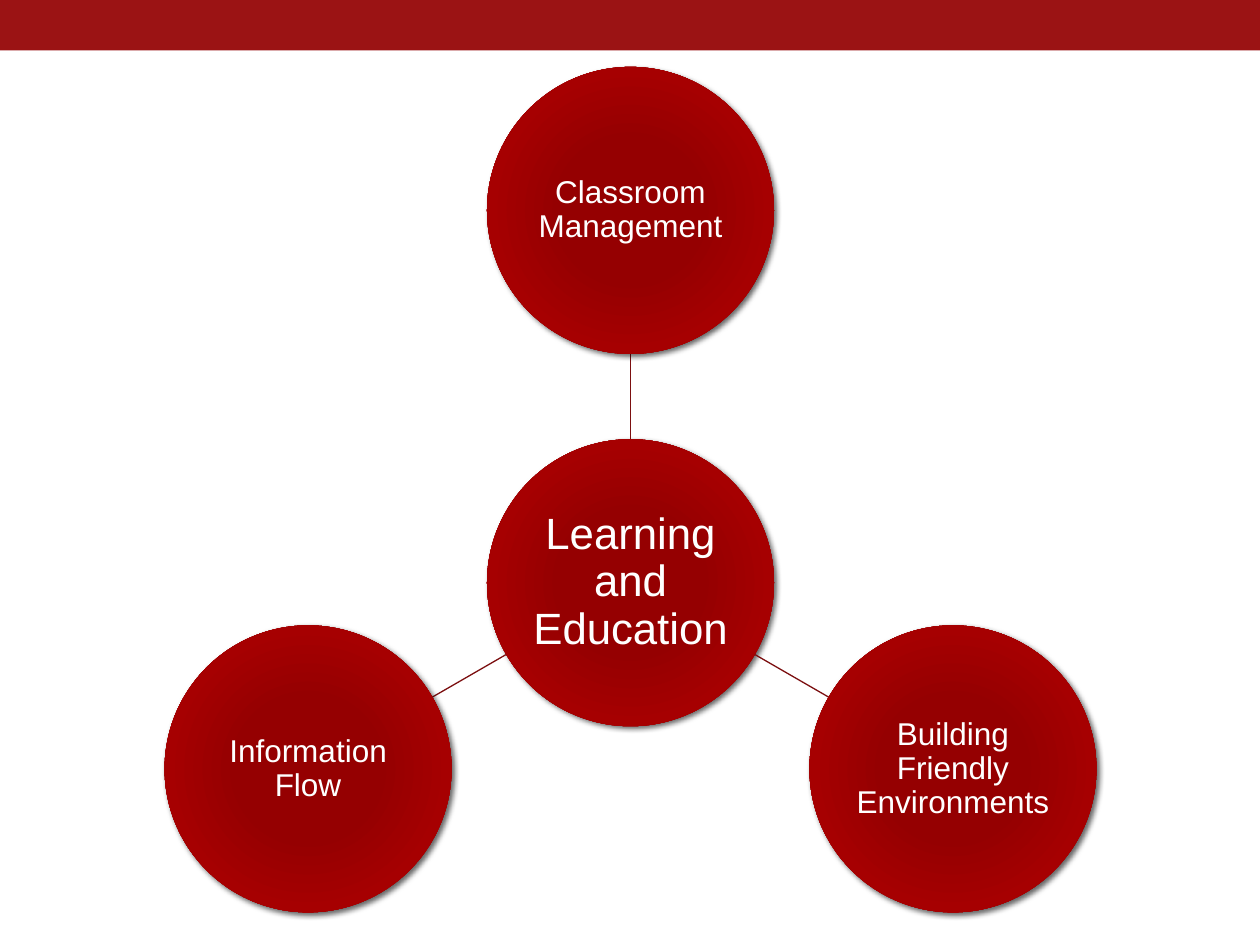
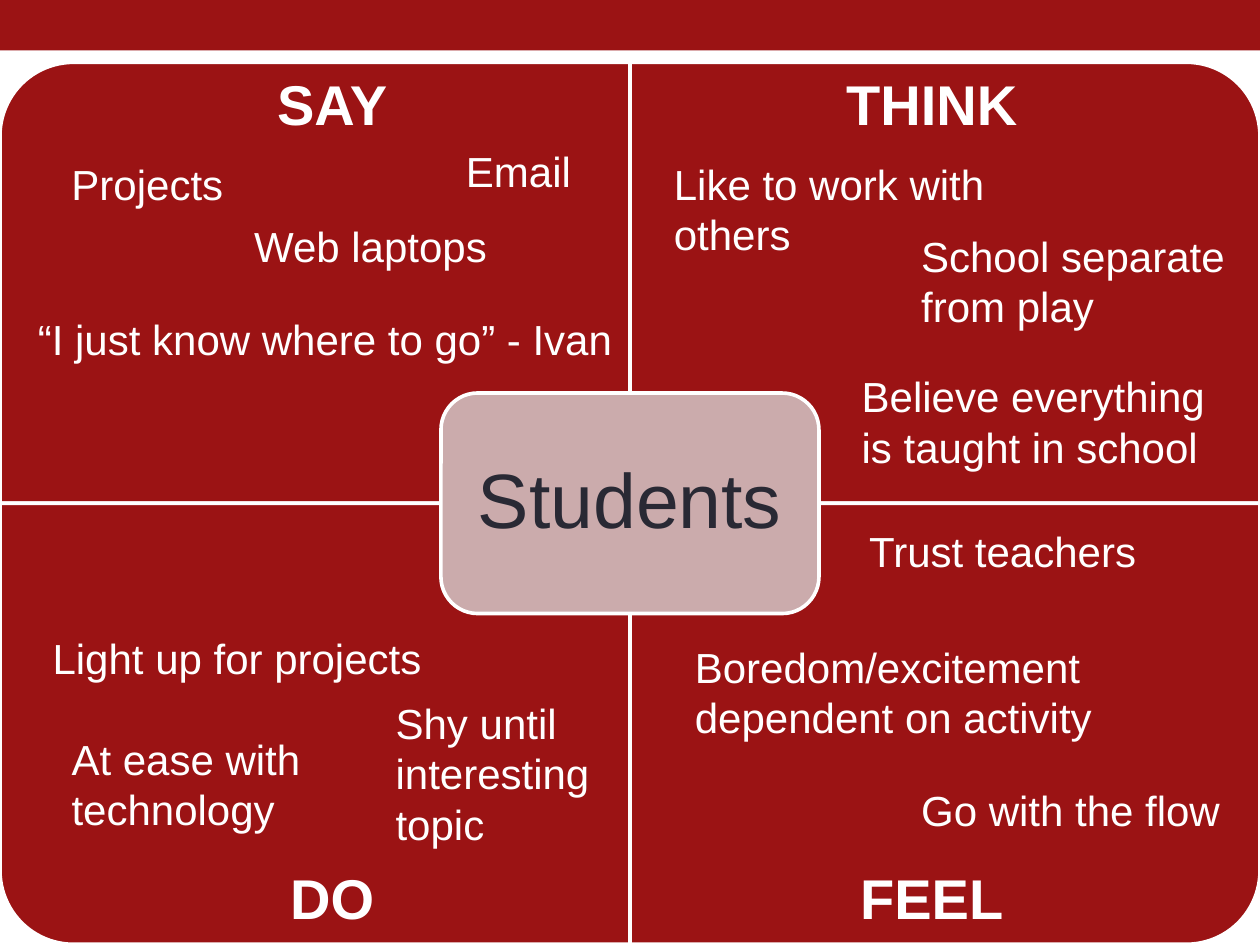
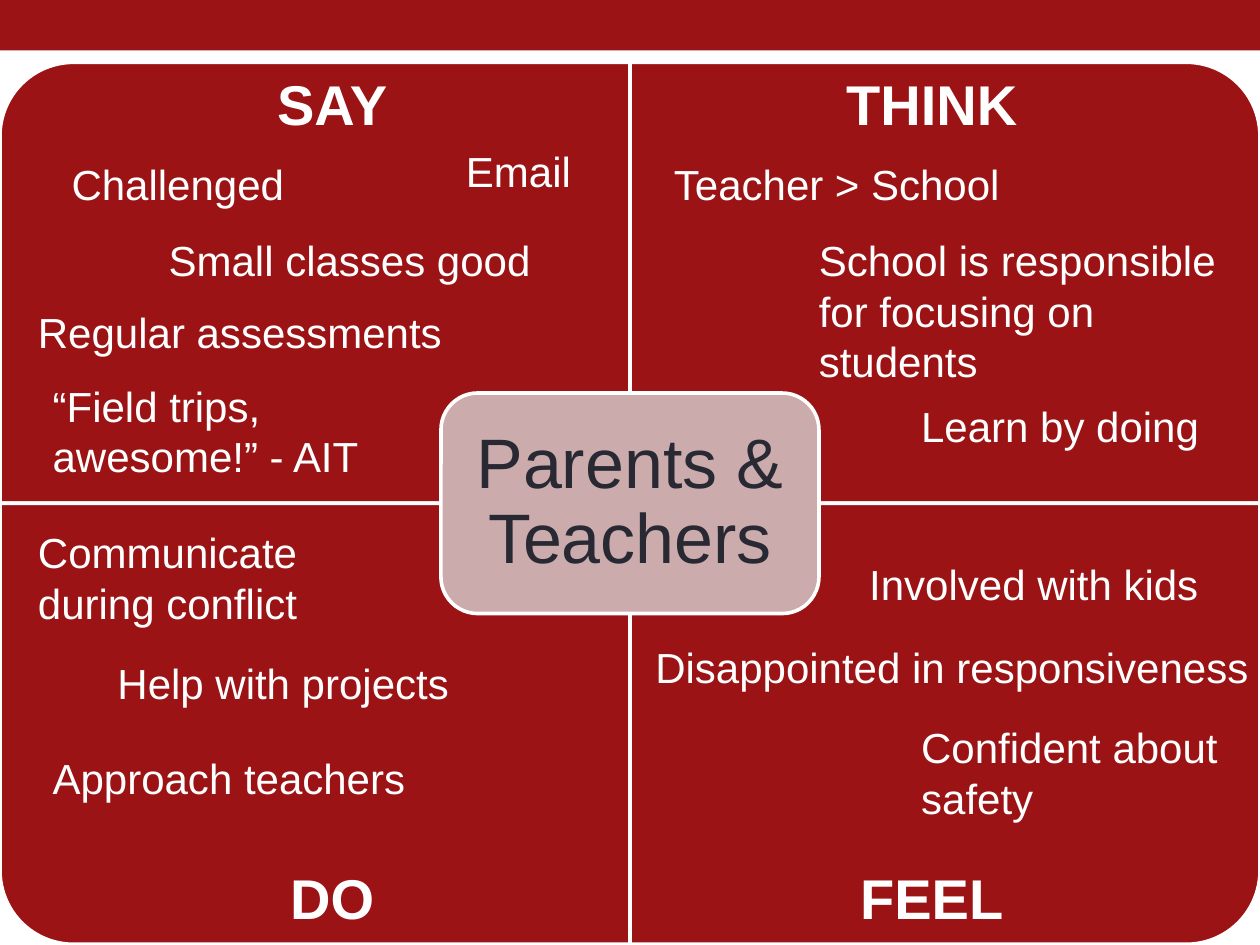
import math

import pptx
import pptx.dml.color
import pptx.enum.shapes
import pptx.enum.text
import pptx.oxml
import pptx.oxml.ns
import pptx.util

Pt = pptx.util.Pt
SHAPE = pptx.enum.shapes.MSO_SHAPE
ALIGN = pptx.enum.text.PP_ALIGN
ANCHOR = pptx.enum.text.MSO_ANCHOR
qn = pptx.oxml.ns.qn

COLORS = {
    "band": "9B1314",
    "core": "950001",
    "rim": "A60001",
    "link": "7C0F10",
    "center": "CBABAC",
    "dark": "292934",
    "white": "FFFFFF",
    "black": "000000",
}
FONT = "Arial"
WIDTH, HEIGHT = 720, 540


def rgb(name):
    return pptx.dml.color.RGBColor.from_string(COLORS[name])


def drawing_xml(tag, attrs, content):
    return pptx.oxml.parse_xml(
        f'<a:{tag} {pptx.oxml.ns.nsdecls("a")} {attrs}>{content}</a:{tag}>')


class Deck:
    """Holds the presentation, its style and the current slide."""

    def __init__(self):
        self.prs = pptx.Presentation()
        self.prs.slide_width, self.prs.slide_height = Pt(WIDTH), Pt(HEIGHT)
        self.s = None

    def new_slide(self):
        first = self.s is None
        self.s = self.prs.slides.add_slide(self.prs.slide_layouts[6])
        if first:
            self.master_band()

    def master_band(self):
        """Draw the top band and move it to the slide master."""
        sp = self.shape(SHAPE.RECTANGLE, 0, 0, WIDTH, 28.8, "band")
        self.prs.slide_master.shapes.element.insert(2, sp.element)

    def shape(self, kind, x, y, w, h, fill=None, line=None):
        sp = self.s.shapes.add_shape(kind, Pt(x), Pt(y), Pt(w), Pt(h))
        sp.shadow.inherit = False
        if fill:
            sp.fill.solid()
            sp.fill.fore_color.rgb = rgb(fill)
        else:
            sp.fill.background()
        if line:
            sp.line.color.rgb = rgb(line)
            sp.line.width = Pt(2.08)
        else:
            sp.line.fill.background()
        return sp

    def add_text(self, sp, text, size, color="white", bold=False, align=ALIGN.LEFT):
        tf = sp.text_frame
        tf.word_wrap = True
        p = tf.paragraphs[0]
        p.alignment = align
        r = p.add_run()
        r.text = text
        r.font.name, r.font.size, r.font.bold = FONT, Pt(size), bold
        r.font.color.rgb = rgb(color)
        return tf

    def label(self, sp, text, size, inset, color="white"):
        """Centre tightly set text inside a shape."""
        tf = self.add_text(sp, text, size, color, align=ALIGN.CENTER)
        tf.vertical_anchor = ANCHOR.MIDDLE
        tf.margin_left = tf.margin_right = Pt(inset)
        tf.margin_top = tf.margin_bottom = Pt(inset)
        tf.paragraphs[0].line_spacing = 0.9

    def text_box(self, text, x, y, w, h, size=24, bold=False, align=ALIGN.LEFT):
        sp = self.s.shapes.add_textbox(Pt(x), Pt(y), Pt(w), Pt(h))
        tf = self.add_text(sp, text, size, bold=bold, align=align)
        tf.auto_size = pptx.enum.text.MSO_AUTO_SIZE.SHAPE_TO_FIT_TEXT

    def circle(self, cx, cy, radius, text, size, inset):
        sp = self.shape(SHAPE.OVAL, cx - radius, cy - radius, 2 * radius, 2 * radius)
        stops = [(0, "core"), (34, "core"), (70, "rim"), (100, "band")]
        stop_xml = "".join(
            f'<a:gs pos="{pos * 1000}"><a:srgbClr val="{COLORS[name]}"/></a:gs>'
            for pos, name in stops)
        props = sp.element.spPr
        props.replace(props.find(qn("a:noFill")), drawing_xml(
            "gradFill", 'rotWithShape="1"',
            f'<a:gsLst>{stop_xml}</a:gsLst><a:path path="circle">'
            '<a:fillToRect l="100000" t="100000" r="100000" b="100000"/></a:path>'))
        props.find(qn("a:effectLst")).append(drawing_xml(
            "outerShdw",
            f'blurRad="{Pt(3)}" dist="{Pt(2)}" dir="2700000" rotWithShape="0"',
            f'<a:srgbClr val="{COLORS["black"]}"><a:alpha val="60000"/></a:srgbClr>'))
        self.label(sp, text, size, inset)

    def line(self, x1, y1, x2, y2):
        cn = self.s.shapes.add_connector(
            pptx.enum.shapes.MSO_CONNECTOR.STRAIGHT, Pt(x1), Pt(y1), Pt(x2), Pt(y2))
        cn.line.color.rgb = rgb("link")
        cn.line.width = Pt(0.75)
        cn.element.spPr.append(drawing_xml("effectLst", "", ""))

    def radial(self, hub, spokes):
        cx, cy, radius, reach = 360.3, 333, 82, 212.75
        self.circle(cx, cy, radius, hub, 25, 1.4)
        for i, text in enumerate(spokes):
            angle = math.radians(-90 + 360 / len(spokes) * i)
            dx, dy = math.cos(angle), math.sin(angle)
            near, far = radius, reach - radius
            self.line(cx + near * dx, cy + near * dy, cx + far * dx, cy + far * dy)
            self.circle(cx + reach * dx, cy + reach * dy, radius, text, 18, 0.9)

    def empathy_map(self, who, size, inset, notes):
        """Four quadrants around a person; notes are (text, x, y, width, lines)."""
        top, w, h = 35.6, WIDTH / 2, 252
        for col, row, turn in [(0, 0, 270), (1, 0, 0), (0, 1, 180), (1, 1, 90)]:
            cx, cy = w * (col + 0.5), top + h * (row + 0.5)
            qw, qh = (h, w) if turn % 180 else (w, h)
            sp = self.shape(SHAPE.ROUND_1_RECTANGLE, cx - qw / 2, cy - qh / 2,
                            qw, qh, "band", "white")
            sp.rotation = turn
        sp = self.shape(SHAPE.ROUNDED_RECTANGLE, 252, 224.6, 216, 126,
                        "center", "white")
        self.label(sp, who, size, inset, "dark")
        for i, heading in enumerate(["SAY", "THINK", "DO", "FEEL"]):
            row, col = divmod(i, 2)
            self.text_box(heading, 33.8 + 342.7 * col, 36 + 453.6 * row, 312, 46,
                          32, True, ALIGN.CENTER)
        for text, x, y, width, lines in notes:
            self.text_box(text, x, y, width, 7.2 + 29 * lines)


STUDENT_NOTES = [
    ("Projects", 33.8, 87, 124, 1),
    ("Email", 259.2, 79.5, 92, 1),
    ("Web laptops", 138.2, 122.4, 175, 1),
    ("“I just know where to go” - Ivan", 14.6, 175.6, 344, 1),
    ("At ease with technology", 33.8, 415.6, 148, 2),
    ("Shy until interesting topic", 219, 395, 132.5, 3),
    ("Light up for projects", 23, 358, 236, 1),
    ("Like to work with others", 378, 87, 214.5, 2),
    ("School separate from play", 519.3, 128, 214.5, 2),
    ("Believe everything is taught in school", 485.3, 208.3, 214.5, 2),
    ("Trust teachers", 489.6, 296.8, 214.5, 1),
    ("Go with the flow", 519.3, 444.5, 214.5, 1),
    ("Boredom/excitement dependent on activity", 390, 362.8, 314, 2),
]
ADULT_NOTES = [
    ("Challenged", 33.8, 87, 159, 1),
    ("Email", 259.2, 79.5, 92, 1),
    ("Small classes good", 89.3, 130.5, 260.6, 1),
    ("Regular assessments", 14.6, 171.8, 344, 1),
    ("Communicate during conflict", 14.6, 297.4, 214.5, 2),
    ("Help with projects", 60, 372.2, 301.7, 1),
    ("Teacher > School", 378, 87, 214.5, 1),
    ("School is responsible for focusing on students", 460.8, 130.5, 259, 3),
    ("Involved with kids", 489.6, 315.4, 214.5, 1),
    ("Disappointed in responsiveness", 367.4, 362.8, 393, 1),
    ("“Field trips, awesome!” - AIT", 23, 213.8, 221.8, 2),
    ("Approach teachers", 23, 426.2, 236, 1),
    ("Confident about safety", 519.3, 409, 224, 2),
    ("Learn by doing", 519.3, 225.4, 200, 1),
]


def main():
    deck = Deck()
    deck.new_slide()
    deck.radial("Learning and Education", [
        "Classroom Management", "Building Friendly Environments", "Information Flow"])
    deck.new_slide()
    deck.empathy_map("Students", 44, 13, STUDENT_NOTES)
    deck.new_slide()
    deck.empathy_map("Parents & Teachers", 40, 12, ADULT_NOTES)
    deck.prs.save("out.pptx")


if __name__ == "__main__":
    main()
